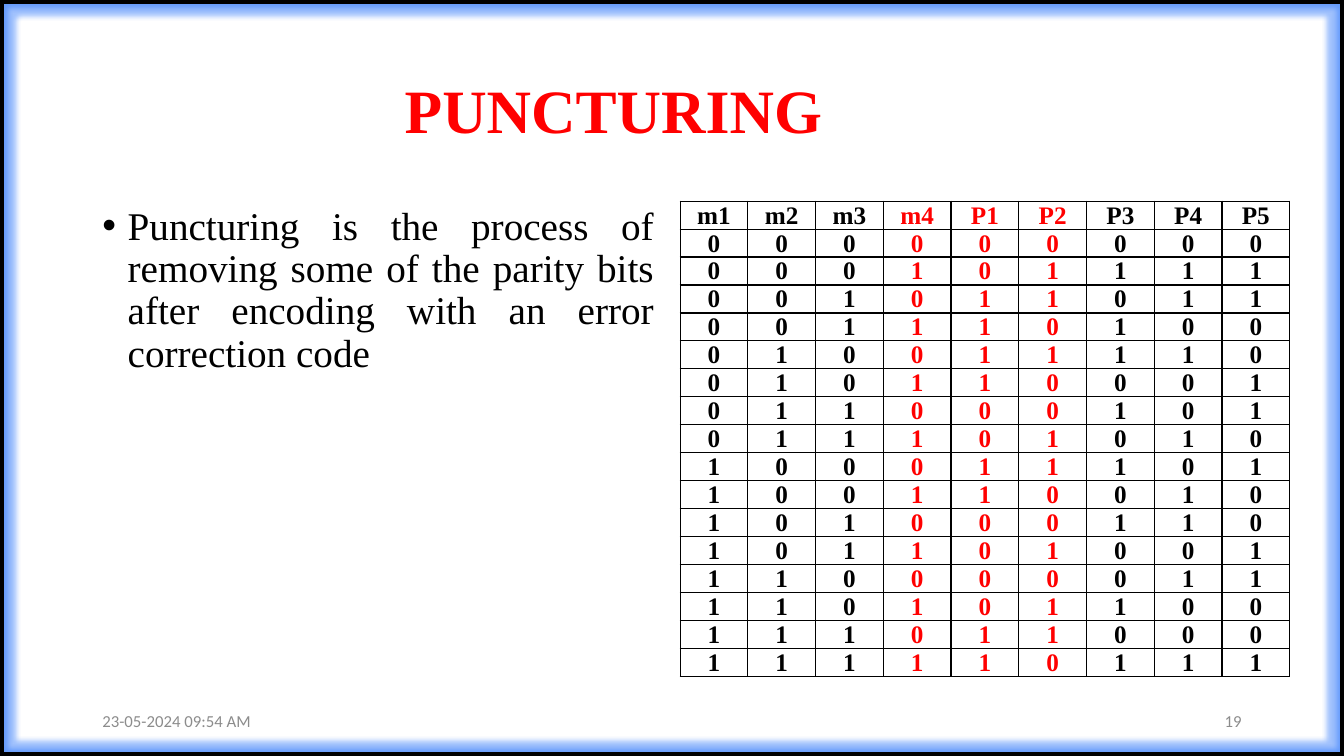
from dataclasses import dataclass
from itertools import product

from lxml.etree import SubElement
from pptx import Presentation
from pptx.dml.color import RGBColor
from pptx.enum.shapes import MSO_SHAPE
from pptx.enum.text import MSO_ANCHOR, PP_ALIGN
from pptx.oxml.ns import qn
from pptx.shapes.autoshape import Shape
from pptx.slide import Slide
from pptx.table import _Cell
from pptx.text.text import Font
from pptx.util import Cm, Pt

COLORS = {"ink": "000000", "accent": "FF0000", "muted": "8C8C8C", "glow": "0D62FA"}
SERIF = "Times New Roman"
SANS = "Calibri"
SLIDE_WIDTH, SLIDE_HEIGHT = Cm(33.87), Cm(19.05)

MESSAGE_BITS = ["m1", "m2", "m3", "m4"]
PARITY_BITS = ["P1", "P2", "P3", "P4", "P5"]
PUNCTURED = {"m4", "P1", "P2"}
GENERATOR = [(1, 1, 1, 0, 1), (1, 1, 1, 1, 0), (1, 1, 0, 1, 1), (0, 1, 1, 1, 1)]


@dataclass
class TextBlock:
    text: str
    left: float
    top: float
    width: float
    height: float
    size: int
    font: str
    color: str
    bold: bool = False
    anchor: MSO_ANCHOR = MSO_ANCHOR.MIDDLE
    align: PP_ALIGN = PP_ALIGN.LEFT
    line_spacing: float = 1.0
    margin: float = 0
    hanging: float = 0
    bullet: str = ""


TEXT_BLOCKS = [
    TextBlock("PUNCTURING", 2.33, 1.01, 29.21, 3.68, 44, SERIF, "accent",
              bold=True, line_spacing=0.9, margin=7.62),
    TextBlock("Puncturing is the process of removing some of the parity bits "
              "after encoding with an error correction code",
              2.33, 5.07, 14.4, 12.09, 28, SERIF, "ink", anchor=MSO_ANCHOR.TOP,
              align=PP_ALIGN.JUSTIFY, line_spacing=0.9, margin=0.64,
              hanging=0.64, bullet="•"),
    TextBlock("23-05-2024 09:54 AM", 2.33, 17.66, 7.62, 1.01, 12, SANS, "muted"),
    TextBlock("19", 23.92, 17.66, 7.62, 1.01, 12, SANS, "muted",
              align=PP_ALIGN.RIGHT),
]


def style_font(font: Font, name: str, size: int, color: str, bold: bool) -> None:
    font.name = name
    font.size = Pt(size)
    font.bold = bold
    font.color.rgb = RGBColor.from_string(COLORS[color])


def add_text(slide: Slide, block: TextBlock) -> None:
    box = slide.shapes.add_textbox(
        Cm(block.left), Cm(block.top), Cm(block.width), Cm(block.height))
    frame = box.text_frame
    frame.word_wrap = True
    frame.vertical_anchor = block.anchor
    frame.text = block.text
    paragraph = frame.paragraphs[0]
    paragraph.alignment = block.align
    paragraph.line_spacing = block.line_spacing
    properties = paragraph._p.get_or_add_pPr()
    properties.set("marL", str(Cm(block.margin)))
    properties.set("indent", str(-Cm(block.hanging)))
    if block.bullet:
        SubElement(properties, qn("a:buFont"), typeface="Arial")
        SubElement(properties, qn("a:buChar"), char=block.bullet)
    style_font(paragraph.runs[0].font, block.font, block.size, block.color, block.bold)


def add_glow(shape: Shape, color: str, radius: int, opacity: int) -> None:
    effects = shape._element.spPr.find(qn("a:effectLst"))
    glow = SubElement(effects, qn("a:glow"), rad=str(Pt(radius)))
    tint = SubElement(glow, qn("a:srgbClr"), val=COLORS[color])
    SubElement(tint, qn("a:alpha"), val=str(opacity * 1000))


def add_frame(slide: Slide) -> None:
    border = slide.shapes.add_shape(
        MSO_SHAPE.RECTANGLE, 0, 0, SLIDE_WIDTH, SLIDE_HEIGHT)
    border.shadow.inherit = False
    border.fill.background()
    border.line.color.rgb = RGBColor.from_string(COLORS["ink"])
    border.line.width = Pt(6)
    add_glow(border, "glow", 8, 40)


def add_borders(cell: _Cell) -> None:
    properties = cell._tc.get_or_add_tcPr()
    for side in ("lnL", "lnR", "lnT", "lnB"):
        edge = SubElement(properties, qn(f"a:{side}"), w=str(Pt(1)))
        fill = SubElement(edge, qn("a:solidFill"))
        SubElement(fill, qn("a:srgbClr"), val=COLORS["ink"])


def fill_cell(cell: _Cell, text: str, color: str) -> None:
    add_borders(cell)
    cell.fill.background()
    cell.margin_left = cell.margin_right = cell.margin_top = cell.margin_bottom = 0
    cell.vertical_anchor = MSO_ANCHOR.BOTTOM
    cell.text = text
    paragraph = cell.text_frame.paragraphs[0]
    paragraph.alignment = PP_ALIGN.CENTER
    paragraph.line_spacing = 0.9
    style_font(paragraph.runs[0].font, SERIF, 18, color, True)


def encode(message: tuple[int, ...]) -> list[str]:
    parity = [sum(m * g for m, g in zip(message, column)) % 2
              for column in zip(*GENERATOR)]
    return [str(bit) for bit in (*message, *parity)]


def add_code_table(slide: Slide) -> None:
    header = MESSAGE_BITS + PARITY_BITS
    rows = [header] + [encode(m) for m in product((0, 1), repeat=len(MESSAGE_BITS))]
    table_width, table_height = Cm(15.37), Cm(11.97)
    codewords = slide.shapes.add_table(
        len(rows), len(header), Cm(17.14), Cm(5.07),
        table_width, table_height).table
    codewords.first_row = False
    codewords.horz_banding = False
    for r, values in enumerate(rows):
        for c, (bit, value) in enumerate(zip(header, values)):
            color = "accent" if bit in PUNCTURED else "ink"
            fill_cell(codewords.cell(r, c), value, color)


def main() -> None:
    deck = Presentation()
    deck.slide_width, deck.slide_height = SLIDE_WIDTH, SLIDE_HEIGHT
    slide = deck.slides.add_slide(deck.slide_layouts[6])
    add_frame(slide)
    for block in TEXT_BLOCKS:
        add_text(slide, block)
    add_code_table(slide)
    deck.save("out.pptx")


if __name__ == "__main__":
    main()
